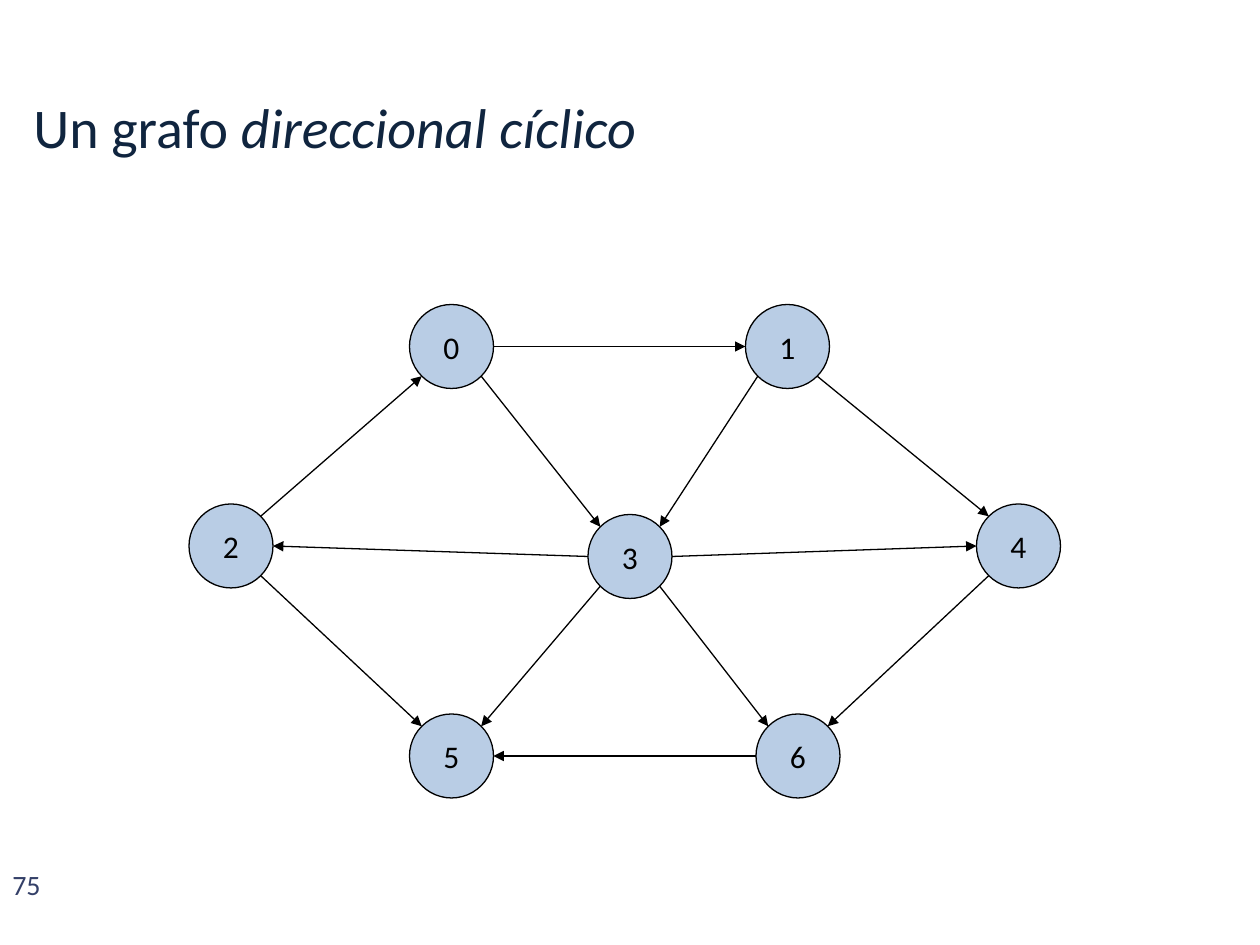
import math

import pptx
import pptx.dml.color
import pptx.enum.shapes
import pptx.enum.text
import pptx.oxml
import pptx.oxml.ns
import pptx.util

TITLE = [("Un grafo ", False), ("direccional cíclico", True)]
PAGE_NUMBER = "75"

# Grid of 120 columns by 90 rows; each node has the column and row of its corner.
NODES = {
    "0": (39, 29), "3": (56, 49), "4": (93, 48), "2": (18, 48),
    "5": (39, 68), "6": (72, 68), "1": (71, 29),
}
EDGES = [
    ("0", "1"), ("0", "3"), ("1", "3"), ("3", "2"), ("3", "4"), ("3", "5"),
    ("3", "6"), ("2", "0"), ("1", "4"), ("2", "5"), ("4", "6"), ("6", "5"),
]
TITLE_AREA = (2, 4, 116, 16)
NUMBER_AREA = (0, 82, 7, 5)
NODE_SIZE = 8
CELL = pptx.util.Inches(10) / 120

THEME = {
    "font": "Calibri",
    "title": ("10253F", 32),
    "number": ("344068", 16),
    "node": ("000000", 18),
    "fill": "B9CDE5",
    "line": "000000",
    "line_width": 0.75,
}


def color(name):
    return pptx.dml.color.RGBColor.from_string(name)


def cells(*values):
    return [round(value * CELL) for value in values]


def style_text(para, role):
    ink, size = THEME[role]
    para.font.name = THEME["font"]
    para.font.size = pptx.util.Pt(size)
    para.font.color.rgb = color(ink)


def style_line(item):
    item.line.color.rgb = color(THEME["line"])
    item.line.width = pptx.util.Pt(THEME["line_width"])


def add_text(page, area, spans, role, anchor):
    box = page.shapes.add_textbox(*cells(*area))
    frame = box.text_frame
    frame.word_wrap = True
    frame.vertical_anchor = anchor
    para = frame.paragraphs[0]
    style_text(para, role)
    for text, italic in spans:
        span = para.add_run()
        span.text = text
        if italic:
            span.font.italic = True


def add_node(page, label, corner):
    node = page.shapes.add_shape(
        pptx.enum.shapes.MSO_SHAPE.OVAL, *cells(*corner, NODE_SIZE, NODE_SIZE))
    node.shadow.inherit = False
    node.fill.solid()
    node.fill.fore_color.rgb = color(THEME["fill"])
    style_line(node)
    frame = node.text_frame
    frame.word_wrap = False
    frame.vertical_anchor = pptx.enum.text.MSO_ANCHOR.MIDDLE
    para = frame.paragraphs[0]
    para.text = label
    para.alignment = pptx.enum.text.PP_ALIGN.CENTER
    style_text(para, "node")


def rim_point(start, end):
    """Leave a node sideways towards the same level, otherwise at 45 degrees."""
    across, down = (there - here for here, there in zip(start, end))
    radius = NODE_SIZE / 2
    level = abs(down) < NODE_SIZE
    reach = radius if level else radius * math.sqrt(0.5)
    x = start[0] + radius + math.copysign(reach, across)
    y = start[1] + radius + (0 if level else math.copysign(reach, down))
    return x, y


def add_edge(page, start, end):
    edge = page.shapes.add_connector(
        pptx.enum.shapes.MSO_CONNECTOR.STRAIGHT,
        *cells(*rim_point(start, end), *rim_point(end, start)))
    style_line(edge)
    head = pptx.oxml.parse_xml(
        f'<a:tailEnd {pptx.oxml.ns.nsdecls("a")} type="triangle" w="med" len="med"/>')
    edge.line._get_or_add_ln().append(head)
    edge._element.spPr.append(
        pptx.oxml.parse_xml(f'<a:effectLst {pptx.oxml.ns.nsdecls("a")}/>'))


def main():
    deck = pptx.Presentation()
    deck.slide_width = pptx.util.Inches(10)
    deck.slide_height = pptx.util.Inches(7.5)
    page = deck.slides.add_slide(deck.slide_layouts[6])
    anchors = pptx.enum.text.MSO_ANCHOR
    add_text(page, NUMBER_AREA, [(PAGE_NUMBER, False)], "number", anchors.TOP)
    for label, corner in NODES.items():
        add_node(page, label, corner)
    for start, end in EDGES:
        add_edge(page, NODES[start], NODES[end])
    add_text(page, TITLE_AREA, TITLE, "title", anchors.MIDDLE)
    deck.save("out.pptx")


if __name__ == "__main__":
    main()
